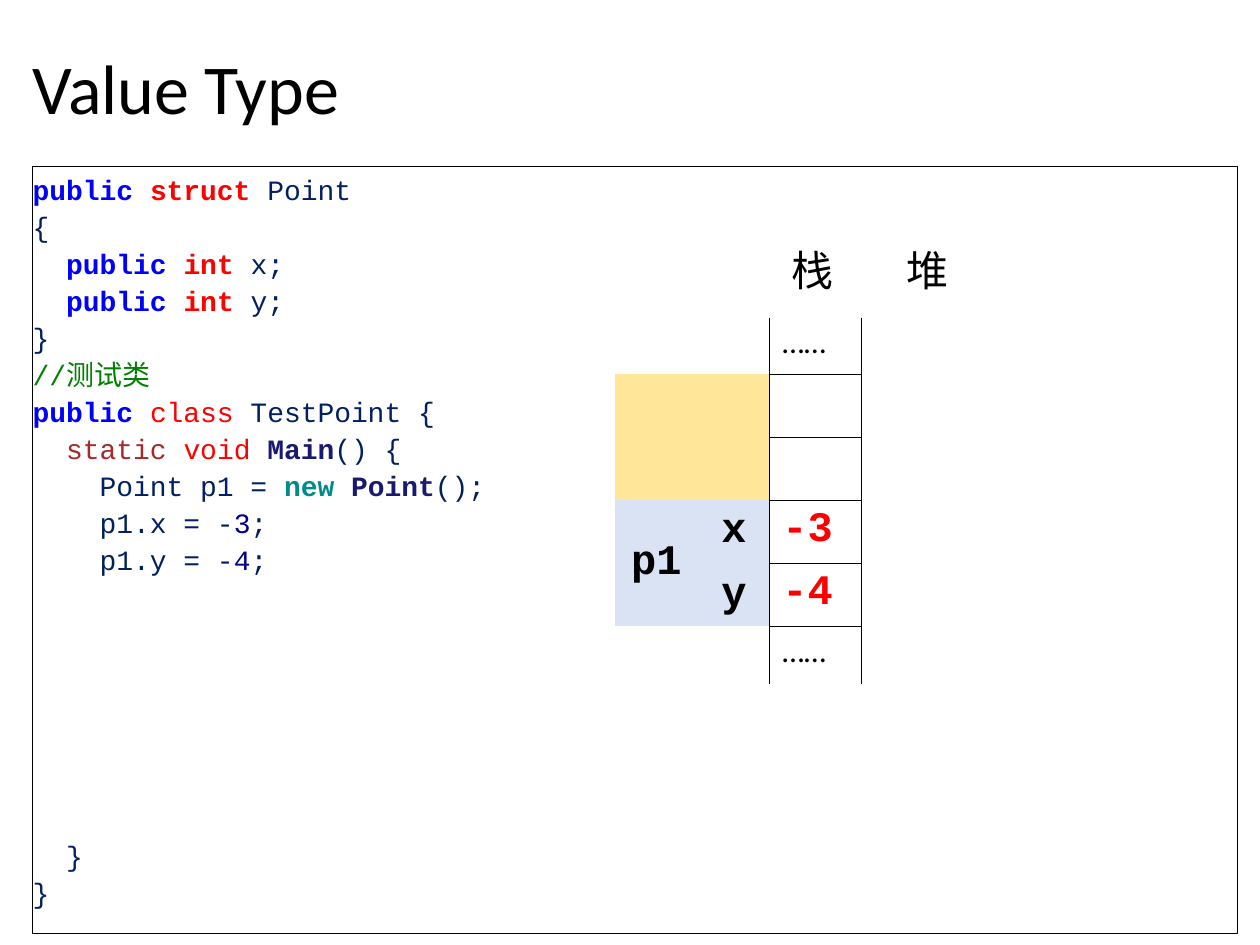
from lxml.etree import SubElement
from pptx import Presentation
from pptx.dml.color import RGBColor
from pptx.enum.shapes import MSO_SHAPE
from pptx.enum.text import MSO_ANCHOR, PP_ALIGN
from pptx.oxml.ns import qn
from pptx.util import Inches, Pt

COLORS = {
    "black": "000000", "navy": "002060", "blue": "0000FF", "red": "FF0000",
    "green": "008000", "brown": "A52A2A", "midnight": "191970",
    "teal": "008B8B", "number": "00008B", "free": "FFE699", "used": "DAE3F3",
}
TOKENS = {
    "plain": ("navy", False), "access": ("blue", True), "type": ("red", True),
    "keyword": ("red", False), "static": ("brown", False),
    "name": ("midnight", True), "new": ("teal", True),
    "number": ("number", False), "comment": ("green", False),
}
CODE = [
    [("access", "public "), ("type", "struct"), ("plain", " Point")],
    [("plain", "{")],
    [("access", "  public "), ("type", "int"), ("plain", " x;")],
    [("access", "  public "), ("type", "int"), ("plain", " y;")],
    [("plain", "}")],
    [("comment", "//测试类")],
    [("access", "public "), ("keyword", "class"), ("plain", " TestPoint {")],
    [("static", "  static "), ("keyword", "void "), ("name", "Main"), ("plain", "() {")],
    [("plain", "    Point p1 = "), ("new", "new "), ("name", "Point"), ("plain", "();")],
    [("plain", "    p1.x = -"), ("number", "3"), ("plain", ";")],
    [("plain", "    p1.y = -"), ("number", "4"), ("plain", ";")],
    [("plain", "  }")],
    [("plain", "}")],
]
CODE_PITCH = 21.14
GAP_LINES = 7
BODY, MONO, CJK = "Calibri", "Courier New", "Noto Sans CJK SC"
NO_STYLE = "{2D5ABB26-0587-4C30-8999-92F81FD0307C}"


class Deck:
    """Draws styled elements on one slide laid out on a 100 by 75 grid."""

    def __init__(self, cols=100, rows=75):
        self.prs = Presentation()
        self.prs.slide_width, self.prs.slide_height = Inches(10), Inches(7.5)
        self.col = self.prs.slide_width / cols
        self.row = self.prs.slide_height / rows
        self.s = self.prs.slides.add_slide(self.prs.slide_layouts[6])

    def box(self, x, y, w, h):
        return [round(v * u) for v, u in zip((x, y, w, h), (self.col, self.row) * 2)]

    def set(self, obj, **values):
        for key, value in values.items():
            setattr(obj, key, value)

    def run(self, p, text, size, font=BODY, color="black", bold=False):
        r = p.add_run()
        r.text = text
        self.set(r.font, size=Pt(size), name=font, bold=bold)
        r.font.color.rgb = RGBColor.from_string(COLORS[color])
        SubElement(r.font._element, qn("a:ea"), typeface=font)

    def text(self, at, text, size, font=BODY, tab=None, spacing=1.0, anchor=MSO_ANCHOR.TOP):
        tf = self.s.shapes.add_textbox(*self.box(*at)).text_frame
        self.set(tf, word_wrap=True, vertical_anchor=anchor)
        p = tf.paragraphs[0]
        p.line_spacing = spacing
        if tab:
            tabs = SubElement(p._p.get_or_add_pPr(), qn("a:tabLst"))
            SubElement(tabs, qn("a:tab"), pos=str(round(tab * self.col)), algn="l")
        self.run(p, text, size, font)

    def code(self, at, lines, gap_before):
        sp = self.s.shapes.add_shape(MSO_SHAPE.RECTANGLE, *self.box(*at))
        sp.shadow.inherit = False
        sp.fill.background()
        sp.line.color.rgb = RGBColor.from_string(COLORS["black"])
        sp.line.width = Pt(0.75)
        tf = sp.text_frame
        self.set(tf, word_wrap=True, vertical_anchor=MSO_ANCHOR.TOP, margin_left=0,
                 margin_right=0, margin_top=Inches(0.02), margin_bottom=0)
        for i, line in enumerate(lines):
            p = tf.add_paragraph() if i else tf.paragraphs[0]
            self.set(p, alignment=PP_ALIGN.LEFT, line_spacing=Pt(CODE_PITCH))
            if i == gap_before:
                p.space_before = Pt(GAP_LINES * CODE_PITCH)
            for token, text in line:
                color, bold = TOKENS[token]
                self.run(p, text, 16, MONO, color, bold)

    def table(self, x, y, widths, heights):
        at = self.box(x, y, sum(widths), sum(heights))
        frame = self.s.shapes.add_table(len(heights), len(widths), *at)
        tbl = frame.table
        self.set(tbl, first_row=False, horz_banding=False)
        frame._element.find(".//" + qn("a:tableStyleId")).text = NO_STYLE
        for column, width in zip(tbl.columns, widths):
            column.width = round(width * self.col)
        for row, height in zip(tbl.rows, heights):
            row.height = round(height * self.row)
        return tbl

    def cell(self, cell, text="", fill=None, sides="", centred=False, **style):
        for side in sides:
            ln = SubElement(cell._tc.get_or_add_tcPr(), qn("a:ln" + side), w=str(Pt(0.45)))
            solid = SubElement(ln, qn("a:solidFill"))
            SubElement(solid, qn("a:srgbClr"), val=COLORS["black"])
        if fill:
            cell.fill.solid()
            cell.fill.fore_color.rgb = RGBColor.from_string(COLORS[fill])
        else:
            cell.fill.background()
        p = cell.text_frame.paragraphs[0]
        if centred:
            cell.vertical_anchor = MSO_ANCHOR.MIDDLE
            p.alignment = PP_ALIGN.CENTER
        if text:
            self.run(p, text, **style)


def main():
    deck = Deck()
    deck.text((1.6, 1.3, 97.4, 12), "Value Type", 40, spacing=0.9, anchor=MSO_ANCHOR.MIDDLE)
    deck.code((2.6, 13.2, 95.6, 60.9), CODE, gap_before=len(CODE) - 2)
    deck.text((61.8, 18.9, 30.3, 5), "栈\t堆", 24, CJK, tab=9.2)

    tbl = deck.table(48.8, 25.2, (6.6, 5.7, 7.3), (4.5, 5, 5, 5, 5, 4.6))
    big = {"size": 24, "font": MONO, "bold": True}
    dots = {"text": "……", "size": 18}
    value = {**big, "color": "red"}
    stack = [dots, {}, {}, {"text": "-3", **value}, {"text": "-4", **value}, dots]
    fills = [None, "free", "free", "used", "used", None]
    labels = {(3, 0): "p1", (3, 1): "x", (4, 1): "y"}
    sides = ["LRB"] + ["LRTB"] * 4 + ["LRT"]
    for i, (fill, content, edge) in enumerate(zip(fills, stack, sides)):
        for j in range(2):
            deck.cell(tbl.cell(i, j), labels.get((i, j), ""), fill, centred=True, **big)
        deck.cell(tbl.cell(i, 2), sides=edge, **content)
    for first, last in (((0, 0), (0, 1)), ((1, 0), (2, 0)), ((3, 0), (4, 0)), ((5, 0), (5, 1))):
        tbl.cell(*first).merge(tbl.cell(*last))
    deck.prs.save("out.pptx")


if __name__ == "__main__":
    main()
